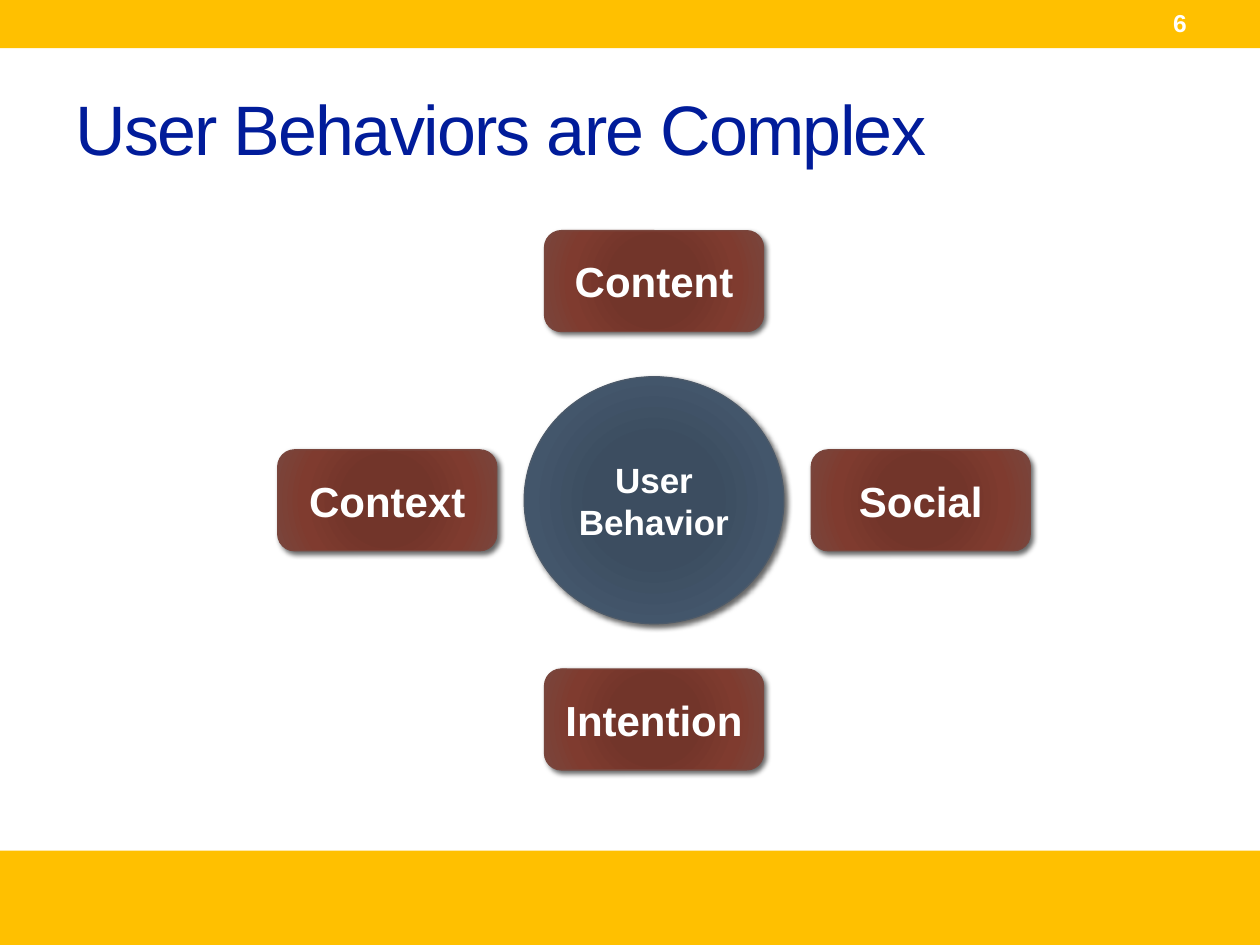
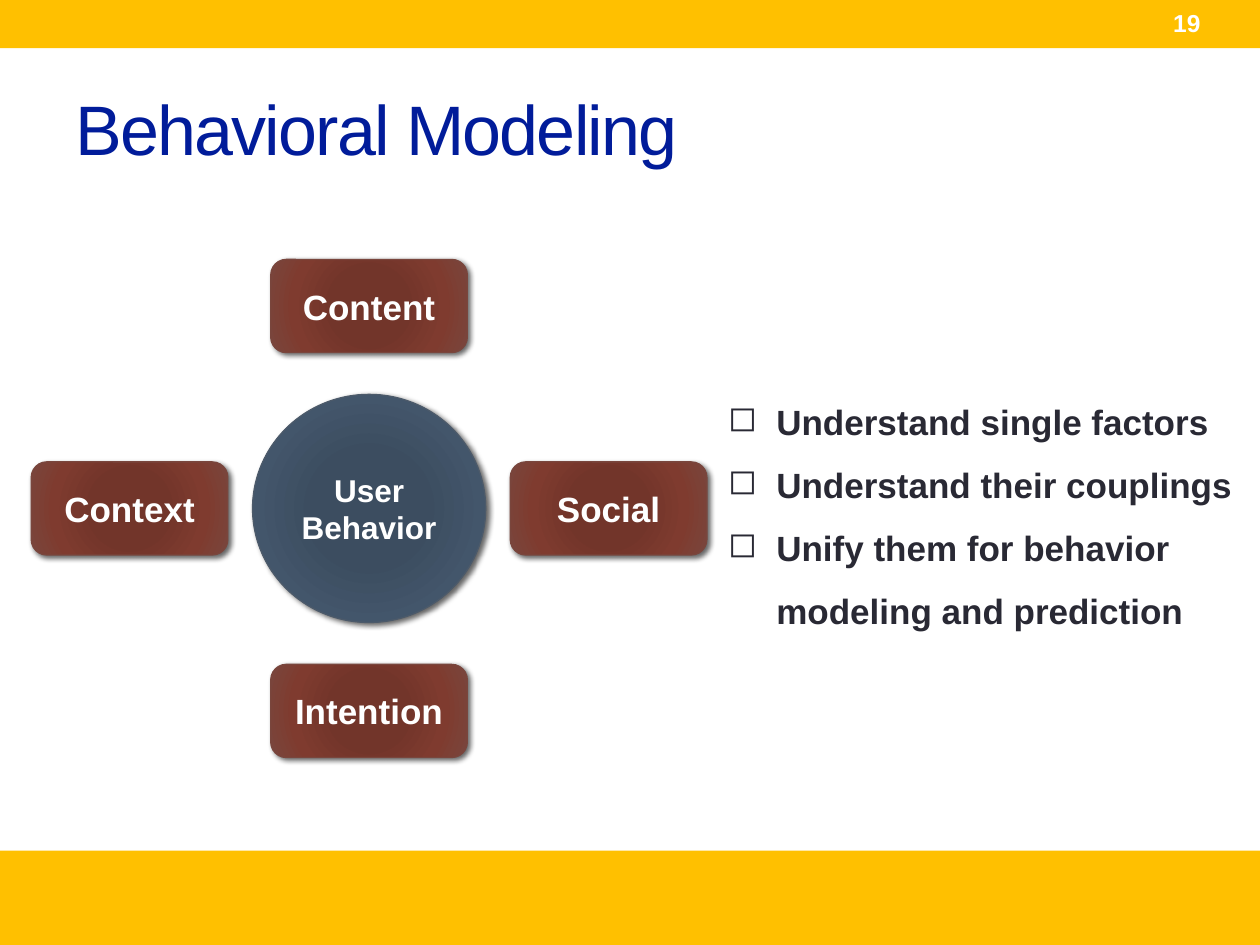
from dataclasses import dataclass

from lxml import etree
from pptx import Presentation
from pptx.dml.color import RGBColor
from pptx.enum.shapes import MSO_SHAPE
from pptx.enum.text import MSO_ANCHOR, PP_ALIGN
from pptx.oxml import parse_xml
from pptx.oxml.ns import nsdecls, qn
from pptx.util import Cm, Pt


@dataclass(frozen=True)
class Theme:
    font: str = "Arial"
    band: str = "FFC000"
    title: str = "011C9A"
    body: str = "292934"
    white: str = "FFFFFF"
    # Radial gradients, from centre to rim
    hub: tuple = ("3B4D61", "3C4D60", "43566B", "4C5A6A")
    tile: tuple = ("743327", "72352A", "7F3B2F", "79463D")
    stops: tuple = (0, 34, 70, 100)
    title_size: int = 40
    number_size: int = 14
    body_size: int = 20


T = Theme()
SLIDE_W, SLIDE_H = 25.4, 19.05
HUB = "User Behavior"
# Each factor with its place in the diagram box, as fractions of the free room
FACTORS = {"Content": (0.5, 0), "Context": (0, 0.5),
           "Social": (1, 0.5), "Intention": (0.5, 1)}


def write(sp, text, size, color=T.white, bold=True, align=PP_ALIGN.LEFT,
          anchor=MSO_ANCHOR.MIDDLE, margin=0.25, spacing=None, track=None,
          bullet=None, indent=0.97):
    """Fill a shape with text, one paragraph per line."""
    tf = sp.text_frame
    tf.word_wrap = True
    tf.vertical_anchor = anchor
    tf.margin_left = tf.margin_right = Cm(margin)
    tf.margin_top = tf.margin_bottom = Cm(0.13)
    for i, line in enumerate(text.split("\n")):
        p = tf.add_paragraph() if i else tf.paragraphs[0]
        p.alignment = align
        if spacing:
            p.line_spacing = spacing
        if bullet:
            pPr = p._p.get_or_add_pPr()
            pPr.set("marL", str(Cm(indent)))
            pPr.set("indent", str(-Cm(indent)))
            etree.SubElement(pPr, qn("a:buChar")).set("char", bullet)
        r = p.add_run()
        r.text = line
        r.font.name, r.font.size, r.font.bold = T.font, Pt(size), bold
        r.font.color.rgb = RGBColor.from_string(color)
        if track:
            r._r.get_or_add_rPr().set("spc", str(track * 100))


def add_text(slide, box, text, size, **fmt):
    write(slide.shapes.add_textbox(*map(Cm, box)), text, size, **fmt)


def add_band(slide, top, height):
    sp = slide.shapes.add_shape(MSO_SHAPE.RECTANGLE, 0, Cm(top), Cm(SLIDE_W), Cm(height))
    sp.fill.solid()
    sp.fill.fore_color.rgb = RGBColor.from_string(T.band)
    sp.line.fill.background()
    sp.shadow.inherit = False


def add_frame(slide, title, number):
    """Bands, page number and title shared by all slides."""
    add_band(slide, 0, 0.97)
    add_band(slide, 17.15, SLIDE_H - 17.15)
    add_text(slide, (1.27, 1.2, 22.86, 2.74), title, T.title_size,
             color=T.title, bold=False, track=-1)
    add_text(slide, (23.4, 0, 2, 0.92), str(number), T.number_size)


def style_glossy(sp, colors):
    """Radial gradient, thin rim and soft shadow."""
    sp.line.color.rgb = RGBColor.from_string(colors[-1])
    sp.line.width = Pt(0.75)
    sp.shadow.inherit = False
    stops = "".join(f'<a:gs pos="{pos * 1000}"><a:srgbClr val="{c}"/></a:gs>'
                    for pos, c in zip(T.stops, colors))
    spPr = sp._element.spPr
    spPr.find(qn("a:prstGeom")).addnext(parse_xml(
        f'<a:gradFill {nsdecls("a")} rotWithShape="1"><a:gsLst>{stops}</a:gsLst>'
        '<a:path path="circle"><a:fillToRect l="100000" t="100000" r="100000" b="100000"/>'
        '</a:path></a:gradFill>'))
    spPr.find(qn("a:effectLst")).append(parse_xml(
        f'<a:outerShdw {nsdecls("a")} blurRad="{Pt(3)}" dist="{Pt(2)}" dir="2700000" '
        'algn="tl" rotWithShape="0"><a:srgbClr val="000000"><a:alpha val="60000"/>'
        '</a:srgbClr></a:outerShdw>'))


def add_diagram(slide, box, hub_size, tile_size):
    """Hub in the centre of the box, one factor at each side."""
    left, top, width, height = box
    group = slide.shapes.add_group_shape()

    def add_node(kind, text, place, share, colors, size):
        w, h = width * share[0], height * share[1]
        x, y = left + (width - w) * place[0], top + (height - h) * place[1]
        sp = group.shapes.add_shape(kind, Cm(x), Cm(y), Cm(w), Cm(h))
        style_glossy(sp, colors)
        write(sp, text, size, align=PP_ALIGN.CENTER, margin=0.13)

    add_node(MSO_SHAPE.OVAL, HUB, (0.5, 0.5), (0.345, 0.458), T.hub, hub_size)
    for name, place in FACTORS.items():
        add_node(MSO_SHAPE.ROUNDED_RECTANGLE, name, place, (0.291, 0.187), T.tile, tile_size)


def add_goals(slide, box, goals):
    add_text(slide, box, "\n".join(goals), T.body_size, color=T.body,
             anchor=MSO_ANCHOR.TOP, spacing=1.5, bullet="◻")


def main():
    prs = Presentation()
    prs.slide_width, prs.slide_height = Cm(SLIDE_W), Cm(SLIDE_H)
    blank = prs.slide_layouts[6]

    # Factors of user behavior
    slide = prs.slides.add_slide(blank)
    add_frame(slide, "User Behaviors are Complex", 6)
    add_diagram(slide, (5.6, 4.65, 15.17, 10.87), hub_size=20, tile_size=24)

    # Modeling goals beside the factors
    slide = prs.slides.add_slide(blank)
    add_frame(slide, "Behavioral Modeling", 19)
    add_diagram(slide, (0.63, 5.23, 13.62, 10.04), hub_size=18, tile_size=20)
    add_goals(slide, (14.43, 7.52, 10.97, 5.38), [
        "Understand single factors",
        "Understand their couplings",
        "Unify them for behavior modeling and prediction"])

    prs.save("out.pptx")


if __name__ == "__main__":
    main()
